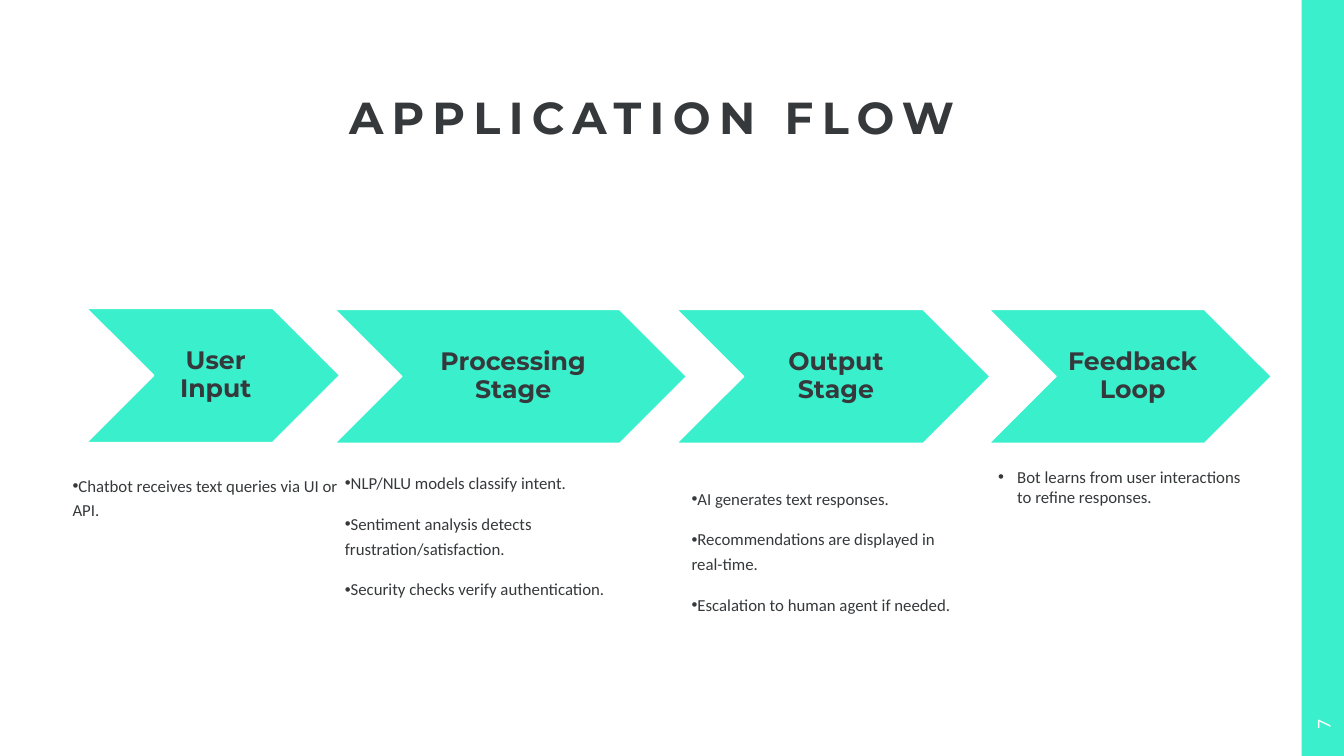
from lxml import etree
from pptx import Presentation
from pptx import util as u
from pptx.dml.color import RGBColor
from pptx.enum import shapes, text
from pptx.oxml.ns import qn

MINT, INK, WHITE = "3AEFCC", "36393B", "FFFFFF"

presentation = Presentation()
presentation.slide_width = u.Inches(13.33)
presentation.slide_height = u.Inches(7.5)
slide = presentation.slides.add_slide(presentation.slide_layouts[6])


def place(left, top, width, height):
    across, down = presentation.slide_width / 100, presentation.slide_height / 100
    return [round(n) for n in (left * across, top * down, width * across, height * down)]


def write(shape, lines, size, font, color, bold=False, align=None, spacing=1.0,
          anchor=text.MSO_ANCHOR.MIDDLE, insets=(0, 0, 0, 0)):
    frame = shape.text_frame
    frame.text = "\n".join(lines)
    frame.word_wrap = True
    frame.vertical_anchor = anchor
    frame.margin_left, frame.margin_top, frame.margin_right, frame.margin_bottom = map(u.Inches, insets)
    for paragraph in frame.paragraphs:
        paragraph.alignment = align
        paragraph.line_spacing = spacing
        for run in paragraph.runs:
            run.font.size = u.Pt(size)
            run.font.name = font
            run.font.bold = bold
            run.font.color.rgb = RGBColor.from_string(color)
    return frame.paragraphs


center = text.PP_ALIGN.CENTER
box_insets = (0.1, 0.05, 0.1, 0.05)

sidebar = slide.shapes.add_shape(shapes.MSO_SHAPE.RECTANGLE, *place(96.85, 0, 3.15, 100))
sidebar.shadow.inherit = False
sidebar.fill.solid()
sidebar.fill.fore_color.rgb = RGBColor.from_string(MINT)
sidebar.line.fill.background()

title = slide.shapes.add_textbox(*place(6.98, 10.67, 83.05, 8.4))
heading = write(title, ["APPLICATION FLOW"], 32, "Montserrat", INK, True, center, 0.9,
                text.MSO_ANCHOR.BOTTOM)
heading[0].runs[0].font._element.set("spc", "600")

stages = [
    ("User Input", (6.45, 40.8, 18.83), (5.4, 62.53, 19.95, 6.13),
     ["Chatbot receives text queries via UI or API."]),
    ("Processing Stage", (24.91, 40.93, 26.18), (25.66, 60.4, 22.88, 20.53),
     ["NLP/NLU models classify intent.",
      "Sentiment analysis detects frustration/satisfaction.",
      "Security checks verify authentication."]),
    ("Output Stage", (50.34, 40.93, 23.33), (51.46, 62.4, 19.88, 20.53),
     ["AI generates text responses.",
      "Recommendations are displayed in real-time.",
      "Escalation to human agent if needed."]),
    ("Feedback Loop", (73.59, 40.93, 21.01), (73.52, 61.07, 19.88, 9.47),
     ["Bot learns from user interactions to refine responses."]),
]

for name, chevron_place, notes_place, notes in stages:
    chevron = slide.shapes.add_shape(shapes.MSO_SHAPE.CHEVRON, *place(*chevron_place, 17.73))
    chevron.shadow.inherit = False
    chevron.fill.solid()
    chevron.fill.fore_color.rgb = RGBColor.from_string(MINT)
    chevron.line.color.rgb = RGBColor.from_string(WHITE)
    chevron.line.width = u.Pt(1)
    write(chevron, [name], 18, "Montserrat", INK, True, center, 0.9,
          insets=(0.08, 0.03, 0.03, 0.03))

    notes_box = slide.shapes.add_textbox(*place(*notes_place))
    if name == "Feedback Loop":
        margin, indent = 0.19, -0.19
        paragraphs = write(notes_box, notes, 12, "Calibri", INK,
                           anchor=text.MSO_ANCHOR.TOP, insets=box_insets)
    else:
        margin, indent = 0, -0.12
        paragraphs = write(notes_box, notes, 12, "Calibri", INK, spacing=1.2)
        for paragraph in paragraphs:
            paragraph.space_after = u.Pt(12)
    for paragraph in paragraphs:
        properties = paragraph._p.get_or_add_pPr()
        properties.set("marL", str(u.Inches(margin)))
        properties.set("indent", str(u.Inches(indent)))
        etree.SubElement(properties, qn("a:buFont")).set("typeface", "Arial")
        etree.SubElement(properties, qn("a:buChar")).set("char", "•")

page_number = slide.shapes.add_textbox(*place(96.1, 93.07, 4.65, 5.6))
page_number.rotation = 270
write(page_number, ["7"], 14, "Calibri", WHITE, align=center, insets=box_insets)

presentation.save("out.pptx")
